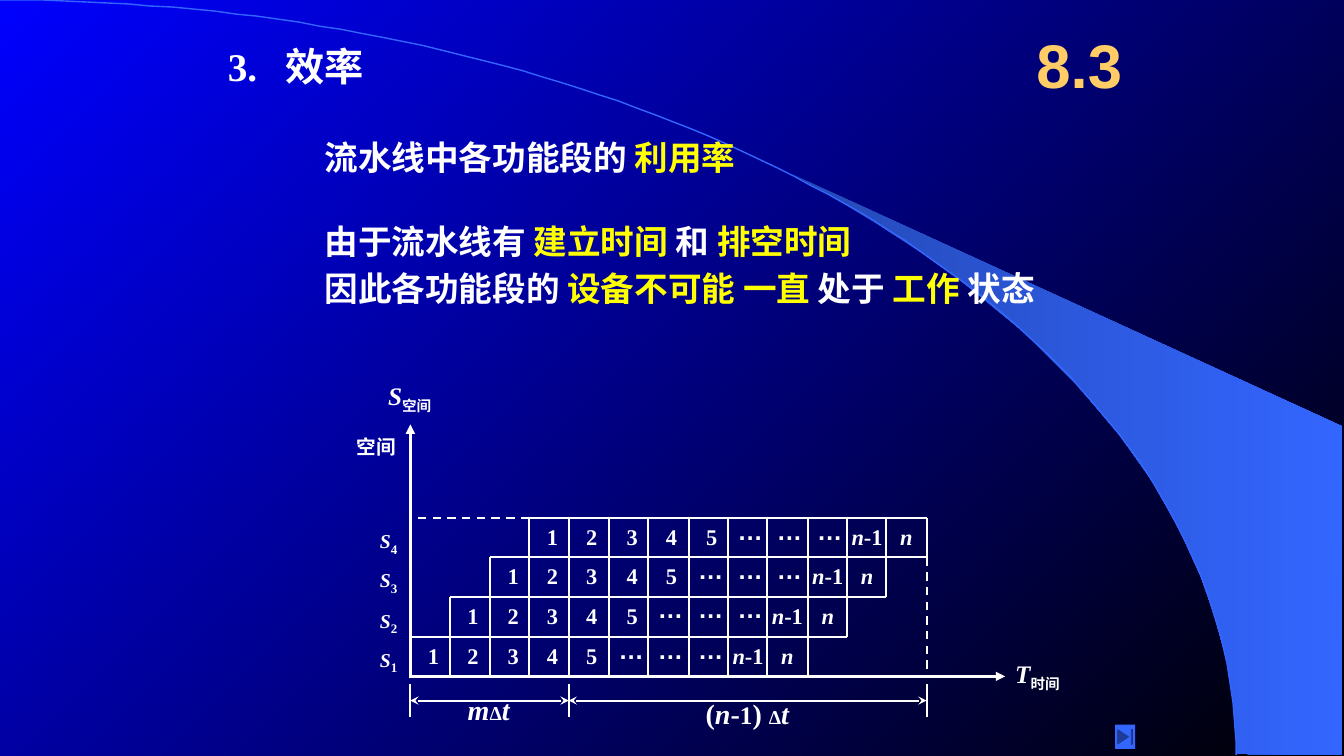
import math
from dataclasses import dataclass
from typing import NamedTuple, Optional

from lxml import etree
from pptx import Presentation
from pptx.dml.color import RGBColor
from pptx.enum.dml import MSO_LINE
from pptx.enum.shapes import MSO_CONNECTOR, MSO_SHAPE
from pptx.enum.text import MSO_ANCHOR, PP_ALIGN
from pptx.oxml.ns import qn
from pptx.util import Pt

PX = 9144
WIDTH, HEIGHT = 1333, 750
LEFT, CENTER = PP_ALIGN.LEFT, PP_ALIGN.CENTER
TOP, MIDDLE = MSO_ANCHOR.TOP, MSO_ANCHOR.MIDDLE
STRAIGHT = MSO_CONNECTOR.STRAIGHT
DASH = MSO_LINE.DASH
END_BUTTON = MSO_SHAPE.ACTION_BUTTON_END
SERIF, SANS = "Times New Roman", "Arial"
WHITE, YELLOW, ORANGE = "FFFFFF", "FFFF00", "FFCC66"
BLUE, DARK_BLUE = "3366FF", "2449B6"

ORIGIN_X, ORIGIN_Y, CELL = 407, 671, 39.37
STAGES, COLUMNS, SETUP_COLUMNS = 4, 13, 4
TASKS = ["1", "2", "3", "4", "5", "…", "…", "…", "n-1", "n"]
BEAM = [
    (1227, 748), (1331, 749), (1331, 423), (786, 173), (832, 199), (870, 222),
    (913, 250), (955, 280), (1016, 330), (1070, 384), (1110, 431), (1144, 479),
    (1171, 528), (1191, 572), (1204, 609), (1217, 656), (1223, 696),
]


class Run(NamedTuple):
    """A stretch of text with its differences from the label."""

    text: str
    color: str = WHITE
    size: Optional[float] = None
    italic: bool = False
    subscript: bool = False


@dataclass
class Label:
    """A text box with one list of runs for each paragraph."""

    left: int
    top: int
    width: int
    height: int
    paragraphs: list[list[Run]]
    size: float
    font: str = SERIF
    align: PP_ALIGN = LEFT
    anchor: MSO_ANCHOR = TOP
    inset: int = 10
    spacing: float = 0
    tab: int = 0
    wrap: bool = True


@dataclass
class Line:
    """A straight line with optional dashes and arrowheads."""

    x1: int
    y1: int
    x2: int
    y2: int
    width: float = 1.5
    dashed: bool = False
    head: str = ""
    tail: str = ""


def rgb(color: str) -> RGBColor:
    """Turn a hex string into a colour."""
    return RGBColor.from_string(color)


def set_gradient(fill, start: str, end: str, angle: int) -> None:
    """Apply a linear gradient of two colours."""
    fill.gradient()
    fill.gradient_angle = angle
    for stop, color in zip(fill.gradient_stops, (start, end)):
        stop.color.rgb = rgb(color)


def draw_outline(slide, points: list[tuple[int, int]], closed: bool):
    """Draw a freeform through the points."""
    builder = slide.shapes.build_freeform(*points[0], scale=PX)
    builder.add_line_segments(points[1:], close=closed)
    shape = builder.convert_to_shape()
    shape.shadow.inherit = False
    return shape


def draw_label(slide, label: Label) -> None:
    """Draw a text box."""
    box = [v * PX for v in (label.left, label.top, label.width, label.height)]
    frame = slide.shapes.add_textbox(*box).text_frame
    frame.word_wrap = label.wrap
    frame.vertical_anchor = label.anchor
    frame.margin_left = frame.margin_right = label.inset * PX
    frame.margin_top = frame.margin_bottom = 5 * PX
    for index, runs in enumerate(label.paragraphs):
        paragraph = frame.paragraphs[0] if index == 0 else frame.add_paragraph()
        paragraph.alignment = label.align
        if index:
            paragraph.space_before = Pt(label.spacing)
        if label.tab:
            properties = paragraph._p.get_or_add_pPr()
            tabs = etree.SubElement(properties, qn("a:tabLst"))
            etree.SubElement(tabs, qn("a:tab"), pos=str(label.tab * PX), algn="l")
        paragraph.font.name = label.font
        paragraph.font.bold = True
        for part in runs:
            run = paragraph.add_run()
            run.text = part.text
            run.font.size = Pt(part.size or label.size)
            run.font.italic = part.italic
            run.font.color.rgb = rgb(part.color)
            if part.subscript:
                run.font._element.set("baseline", "-25000")


def draw_line(slide, line: Line) -> None:
    """Draw a white connector."""
    ends = [v * PX for v in (line.x1, line.y1, line.x2, line.y2)]
    connector = slide.shapes.add_connector(STRAIGHT, *ends)
    connector.line.color.rgb = rgb(WHITE)
    connector.line.width = Pt(line.width)
    if line.dashed:
        connector.line.dash_style = DASH
    stroke = connector.line._get_or_add_ln()
    for tag, kind in (("a:headEnd", line.head), ("a:tailEnd", line.tail)):
        if kind:
            etree.SubElement(stroke, qn(tag), type=kind)
    etree.SubElement(connector._element.spPr, qn("a:effectLst"))


def column_x(column: int) -> int:
    """Give the left edge of a time column."""
    return round(ORIGIN_X + column * CELL)


def stage_y(stage: int) -> int:
    """Give the bottom edge of a stage row."""
    return round(ORIGIN_Y - stage * CELL)


def draw_backdrop(slide) -> None:
    """Draw the gradient, the light beam and the arc."""
    set_gradient(slide.background.fill, "0000FF", "000000", 315)
    beam = draw_outline(slide, BEAM, True)
    set_gradient(beam.fill, DARK_BLUE, BLUE, 0)
    beam.line.fill.background()
    angles = [math.radians(degree) for degree in range(91)]
    arc = draw_outline(
        slide,
        [(round(1226 * math.sin(a)), round(749 * (1 - math.cos(a)))) for a in angles],
        False,
    )
    arc.fill.background()
    arc.line.color.rgb = rgb(BLUE)
    arc.line.width = Pt(1)


def draw_grid(slide) -> None:
    """Draw the axes, the staircase grid and the time spans."""
    right, top = column_x(COLUMNS), stage_y(STAGES)
    setup = column_x(SETUP_COLUMNS)
    lines = [
        Line(ORIGIN_X, ORIGIN_Y, 997, ORIGIN_Y, 2.25, tail="triangle"),
        Line(ORIGIN_X, 673, ORIGIN_X, 421, 2.25, tail="triangle"),
        Line(column_x(3), top, ORIGIN_X, top, dashed=True),
        Line(right, stage_y(3), right, ORIGIN_Y, dashed=True),
    ]
    for stage in range(1, STAGES + 1):
        y = stage_y(stage)
        end = min(stage + 10, COLUMNS)
        lines.append(Line(column_x(stage - 1), y, column_x(end), y))
    for column in range(1, COLUMNS + 1):
        x = column_x(column)
        bottom, upper = max(0, column - 10), min(column + 1, STAGES)
        lines.append(Line(x, stage_y(bottom), x, stage_y(upper)))
    lines += [Line(x, 679, x, 711) for x in (ORIGIN_X, setup, right)]
    for start, end in ((ORIGIN_X, setup), (setup, right)):
        lines.append(Line(start, 695, end, 695, head="stealth", tail="stealth"))
    for line in lines:
        draw_line(slide, line)


def task_label(stage: int, position: int, task: str) -> Label:
    """Place a task number in its cell."""
    left, top = column_x(stage + position), stage_y(stage + 1)
    if task == "…":
        return Label(left + 2, top - 8, 40, 40, [[Run(task)]], 18, SANS, CENTER, inset=0)
    runs = [Run(task)]
    if task.startswith("n"):
        runs = [Run("n", italic=True)] + ([Run("-1")] if task == "n-1" else [])
    shift = 3 if task.isdigit() else 0
    return Label(left + shift, top, 40, 37, [runs], 16, align=CENTER, inset=0)


def main() -> None:
    """Build the slide and save it."""
    presentation = Presentation()
    presentation.slide_width, presentation.slide_height = WIDTH * PX, HEIGHT * PX
    slide = presentation.slides.add_slide(presentation.slide_layouts[6])
    draw_backdrop(slide)
    draw_grid(slide)
    reasons = [
        [Run("由于流水线有 "), Run("建立时间", YELLOW), Run(" 和 "), Run("排空时间", YELLOW)],
        [Run("因此各功能段的 "), Run("设备不可能 一直", YELLOW), Run(" 处于 "),
         Run("工作", YELLOW), Run(" 状态")],
    ]
    usage = [Run("流水线中各功能段的 "), Run("利用率", YELLOW)]
    setup = [Run("m", italic=True), Run("Δ", size=14), Run("t", italic=True)]
    rest = [Run("("), Run("n", italic=True), Run("-"), Run("1", size=18), Run(") "),
            Run("Δ", size=14), Run("t", italic=True)]
    labels = [
        Label(312, 214, 795, 106, reasons, 24, spacing=4.8),
        Label(1008, 17, 125, 92, [[Run("8.3", ORANGE)]], 44, SANS, CENTER, MIDDLE),
        Label(312, 131, 902, 50, [usage], 24),
        Label(226, 36, 258, 58, [[Run("3.\t效率")]], 28, anchor=MIDDLE, inset=0, tab=57, wrap=False),
        Label(454, 682, 149, 43, [setup], 20),
        Label(690, 686, 149, 43, [rest], 20),
        Label(344, 427, 79, 33, [[Run("空间")]], 14),
    ]
    for left, top, width, axis, name in ((997, 648, 94, "T", "时间"), (375, 372, 79, "S", "空间")):
        runs = [Run(axis, italic=True), Run(name, subscript=True)]
        labels.append(Label(left, top, width, 40, [runs], 18))
    for stage in range(STAGES):
        runs = [Run("S", italic=True), Run(str(stage + 1), size=16, subscript=True)]
        labels.append(Label(367, stage_y(stage) - 36, 47, 33, [runs], 14))
        labels += [task_label(stage, i, task) for i, task in enumerate(TASKS)]
    for label in labels:
        draw_label(slide, label)
    button = slide.shapes.add_shape(END_BUTTON, 1106 * PX, 719 * PX, 20 * PX, 24 * PX)
    button.shadow.inherit = False
    button.fill.solid()
    button.fill.fore_color.rgb = rgb(BLUE)
    button.line.fill.background()
    presentation.save("out.pptx")


if __name__ == "__main__":
    main()
